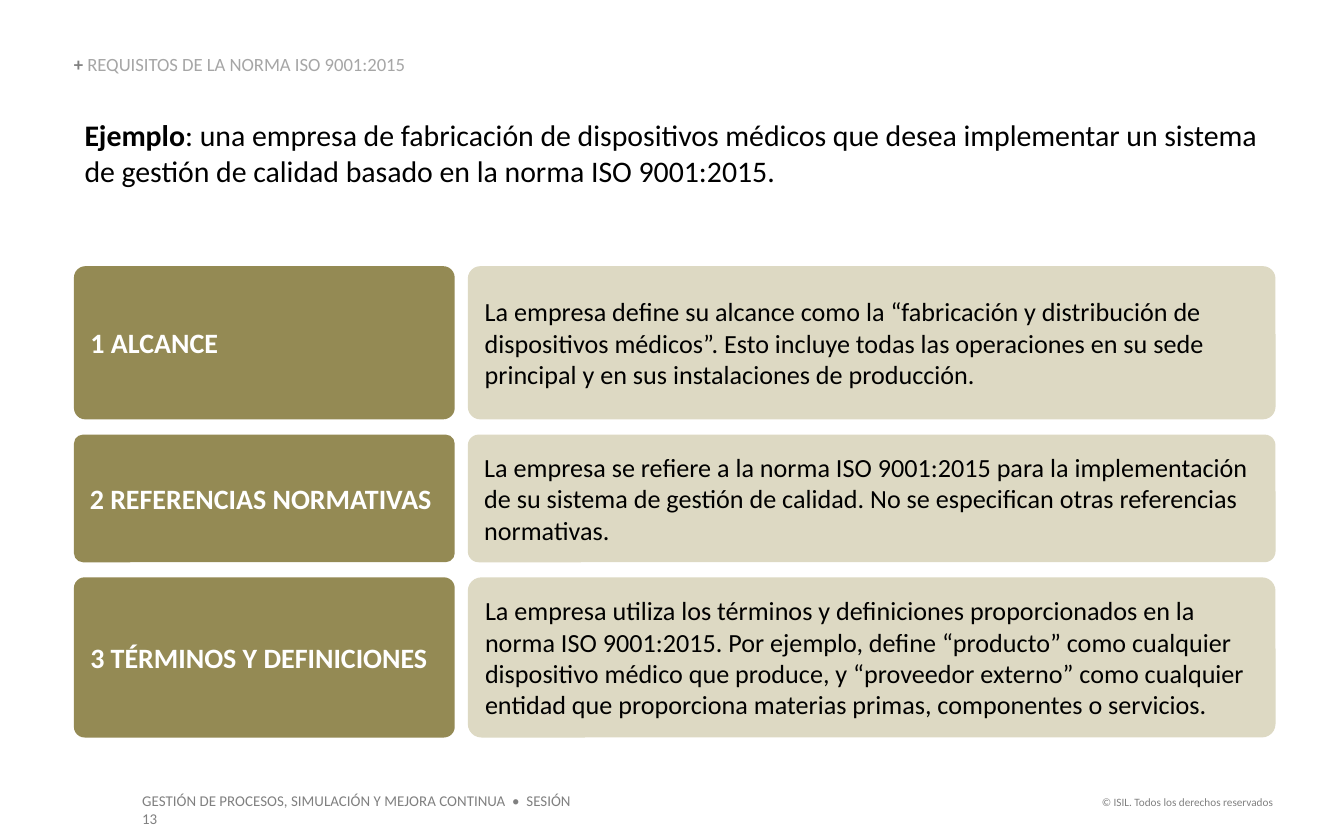
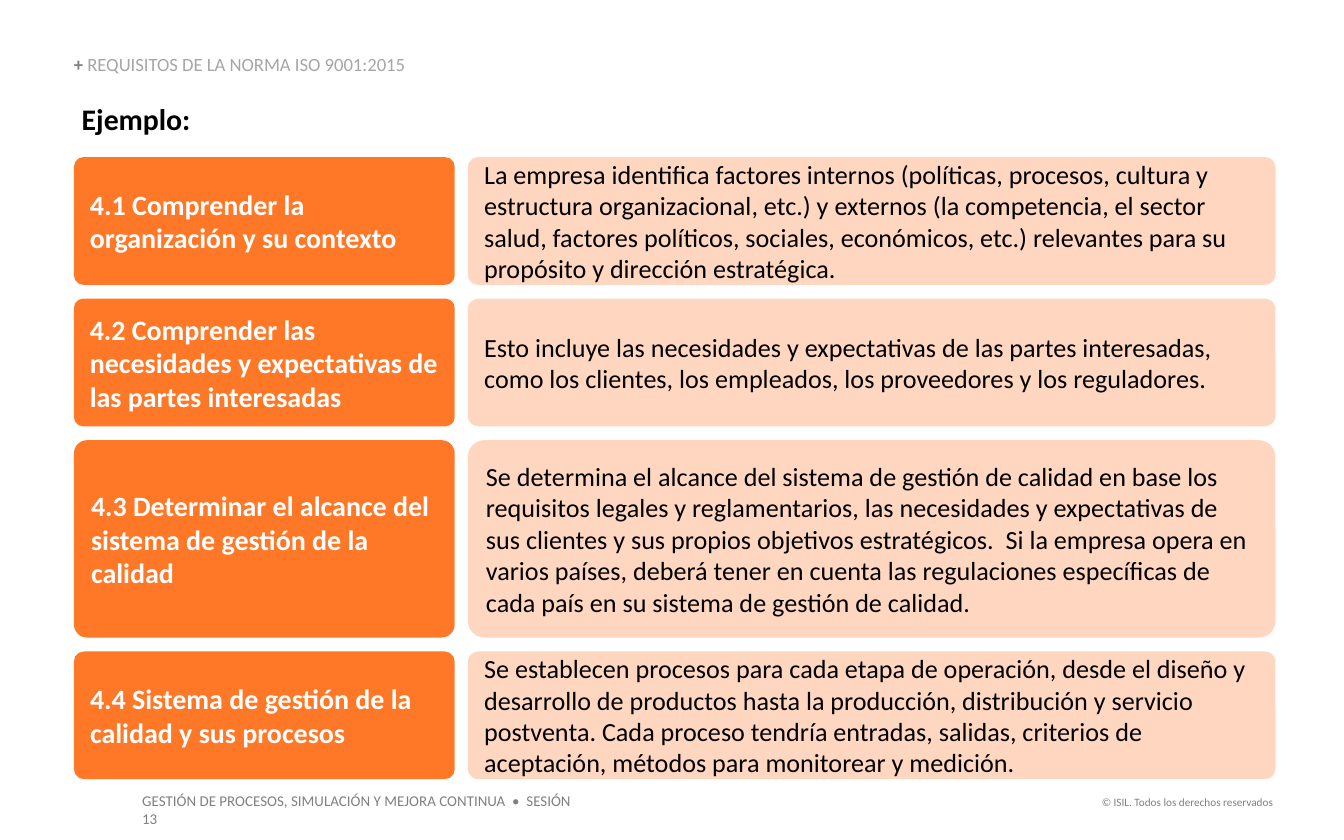
from dataclasses import dataclass

from pptx import Presentation
from pptx.dml.color import RGBColor
from pptx.enum.shapes import MSO_SHAPE
from pptx.enum.text import MSO_ANCHOR, PP_ALIGN
from pptx.slide import Slide
from pptx.text.text import TextFrame
from pptx.util import Pt

ROUNDED = MSO_SHAPE.ROUNDED_RECTANGLE
TOP, MIDDLE, BOTTOM = MSO_ANCHOR.TOP, MSO_ANCHOR.MIDDLE, MSO_ANCHOR.BOTTOM
LEFT, RIGHT = PP_ALIGN.LEFT, PP_ALIGN.RIGHT

FONT = "Calibri"
BLACK, WHITE, GRAY, LIGHT_GRAY = "000000", "FFFFFF", "808080", "A6A6A6"

LABEL_LEFT, LABEL_WIDTH = 39.6, 204
DETAIL_LEFT, DETAIL_WIDTH = 250.6, 432.7
LABEL_ROUNDING = (0.075, 0.071, 0.067, 0.078)
DETAIL_ROUNDING = (0.082, 0.085, 0.085, 0.085)


@dataclass(frozen=True)
class Box:
    left: float
    top: float
    width: float
    height: float


@dataclass(frozen=True)
class Run:
    text: str
    color: str = BLACK
    bold: bool = False


@dataclass(frozen=True)
class Requirement:
    label: str
    detail: str
    height: float


@dataclass(frozen=True)
class RequirementSlide:
    intro: tuple[Run, ...]
    intro_box: Box
    label_fill: str
    detail_fill: str
    first_top: float
    gap: float
    requirements: tuple[Requirement, ...]


HEADER_BOX = Box(39.6, 29.5, 334.8, 10.8)
COURSE_BOX = Box(69.1, 420.5, 254.2, 17.3)
COPYRIGHT_BOX = Box(581, 422.6, 108, 14.4)

HEADER = (
    Run("+ ", GRAY, True),
    Run("REQUISITOS DE LA NORMA ISO 9001:2015", LIGHT_GRAY),
)
COURSE = Run("GESTIÓN DE PROCESOS, SIMULACIÓN Y MEJORA CONTINUA  •  SESIÓN 13", GRAY)
COPYRIGHT = Run("© ISIL. Todos los derechos reservados", GRAY)

SLIDES = (
    RequirementSlide(
        intro=(
            Run("Ejemplo", bold=True),
            Run(
                ": una empresa de fabricación de dispositivos médicos que desea "
                "implementar un sistema de gestión de calidad basado en la norma "
                "ISO 9001:2015."
            ),
        ),
        intro_box=Box(38.2, 59, 643.7, 46),
        label_fill="948A54",
        detail_fill="DDD9C3",
        first_top=142.6,
        gap=8.1,
        requirements=(
            Requirement(
                "1 ALCANCE",
                "La empresa define su alcance como la “fabricación y distribución de "
                "dispositivos médicos”. Esto incluye todas las operaciones en su sede "
                "principal y en sus instalaciones de producción.",
                82.1,
            ),
            Requirement(
                "2 REFERENCIAS NORMATIVAS",
                "La empresa se refiere a la norma ISO 9001:2015 para la "
                "implementación de su sistema de gestión de calidad. No se "
                "especifican otras referencias normativas.",
                68.4,
            ),
            Requirement(
                "3 TÉRMINOS Y DEFINICIONES",
                "La empresa utiliza los términos y definiciones proporcionados en la "
                "norma ISO 9001:2015. Por ejemplo, define “producto” como cualquier "
                "dispositivo médico que produce, y “proveedor externo” como cualquier "
                "entidad que proporciona materias primas, componentes o servicios.",
                85.8,
            ),
        ),
    ),
    RequirementSlide(
        intro=(Run("Ejemplo:", bold=True),),
        intro_box=Box(36.7, 50.4, 643.7, 26.6),
        label_fill="FF7828",
        detail_fill="FFD7C1",
        first_top=84.2,
        gap=7.4,
        requirements=(
            Requirement(
                "4.1 Comprender la organización y su contexto",
                "La empresa identifica factores internos (políticas, procesos, cultura "
                "y estructura organizacional, etc.) y externos (la competencia, el "
                "sector salud, factores políticos, sociales, económicos, etc.) "
                "relevantes para su propósito y dirección estratégica.",
                68.4,
            ),
            Requirement(
                "4.2 Comprender las necesidades y expectativas de las partes interesadas",
                "Esto incluye las necesidades y expectativas de las partes interesadas, "
                "como los clientes, los empleados, los proveedores y los reguladores.",
                68.4,
            ),
            Requirement(
                "4.3 Determinar el alcance del sistema de gestión de la calidad",
                "Se determina el alcance del sistema de gestión de calidad en base los "
                "requisitos legales y reglamentarios, las necesidades y expectativas de "
                "sus clientes y sus propios objetivos estratégicos.  Si la empresa opera "
                "en varios países, deberá tener en cuenta las regulaciones específicas "
                "de cada país en su sistema de gestión de calidad.",
                105.8,
            ),
            Requirement(
                "4.4 Sistema de gestión de la calidad y sus procesos",
                "Se establecen procesos para cada etapa de operación, desde el diseño y "
                "desarrollo de productos hasta la producción, distribución y servicio "
                "postventa. Cada proceso tendría entradas, salidas, criterios de "
                "aceptación, métodos para monitorear y medición.",
                68.4,
            ),
        ),
    ),
)


def rgb(color: str) -> RGBColor:
    return RGBColor.from_string(color)


def points(box: Box) -> tuple[Pt, Pt, Pt, Pt]:
    return Pt(box.left), Pt(box.top), Pt(box.width), Pt(box.height)


def write_text(
    frame: TextFrame,
    *runs: Run,
    size: float,
    align: PP_ALIGN = LEFT,
    anchor: MSO_ANCHOR = TOP,
    line_spacing: float = 1.0,
) -> None:
    frame.word_wrap = True
    frame.vertical_anchor = anchor
    paragraph = frame.paragraphs[0]
    paragraph.alignment = align
    paragraph.line_spacing = line_spacing
    for item in runs:
        run = paragraph.add_run()
        run.text = item.text
        run.font.name = FONT
        run.font.size = Pt(size)
        run.font.bold = item.bold
        run.font.color.rgb = rgb(item.color)


def add_text(slide: Slide, box: Box) -> TextFrame:
    return slide.shapes.add_textbox(*points(box)).text_frame


def add_card(
    slide: Slide, box: Box, run: Run, *, fill: str, rounding: float, size: float
) -> None:
    shape = slide.shapes.add_shape(ROUNDED, *points(box))
    shape.shadow.inherit = False
    shape.adjustments[0] = rounding
    shape.fill.solid()
    shape.fill.fore_color.rgb = rgb(fill)
    shape.line.fill.background()
    write_text(shape.text_frame, run, size=size, anchor=MIDDLE)


def add_footers(slide: Slide) -> None:
    write_text(add_text(slide, COPYRIGHT_BOX), COPYRIGHT, size=6, align=RIGHT)
    write_text(add_text(slide, COURSE_BOX), COURSE, size=8)


def add_header(slide: Slide) -> None:
    frame = add_text(slide, HEADER_BOX)
    frame.margin_left = frame.margin_right = Pt(0)
    frame.margin_top = frame.margin_bottom = Pt(0)
    write_text(frame, *HEADER, size=10, anchor=BOTTOM, line_spacing=0.9)


def add_requirements(slide: Slide, content: RequirementSlide) -> None:
    top = content.first_top
    for requirement, label_rounding, detail_rounding in zip(
        content.requirements, LABEL_ROUNDING, DETAIL_ROUNDING
    ):
        add_card(
            slide,
            Box(LABEL_LEFT, top, LABEL_WIDTH, requirement.height),
            Run(requirement.label, WHITE, True),
            fill=content.label_fill,
            rounding=label_rounding,
            size=15,
        )
        add_card(
            slide,
            Box(DETAIL_LEFT, top, DETAIL_WIDTH, requirement.height),
            Run(requirement.detail),
            fill=content.detail_fill,
            rounding=detail_rounding,
            size=14,
        )
        top += requirement.height + content.gap


def main() -> None:
    presentation = Presentation()
    presentation.slide_width = Pt(720)
    presentation.slide_height = Pt(450)
    blank_layout = presentation.slide_layouts[6]
    for content in SLIDES:
        slide = presentation.slides.add_slide(blank_layout)
        add_footers(slide)
        add_requirements(slide, content)
        add_header(slide)
        write_text(add_text(slide, content.intro_box), *content.intro, size=16)
    presentation.save("out.pptx")


if __name__ == "__main__":
    main()
